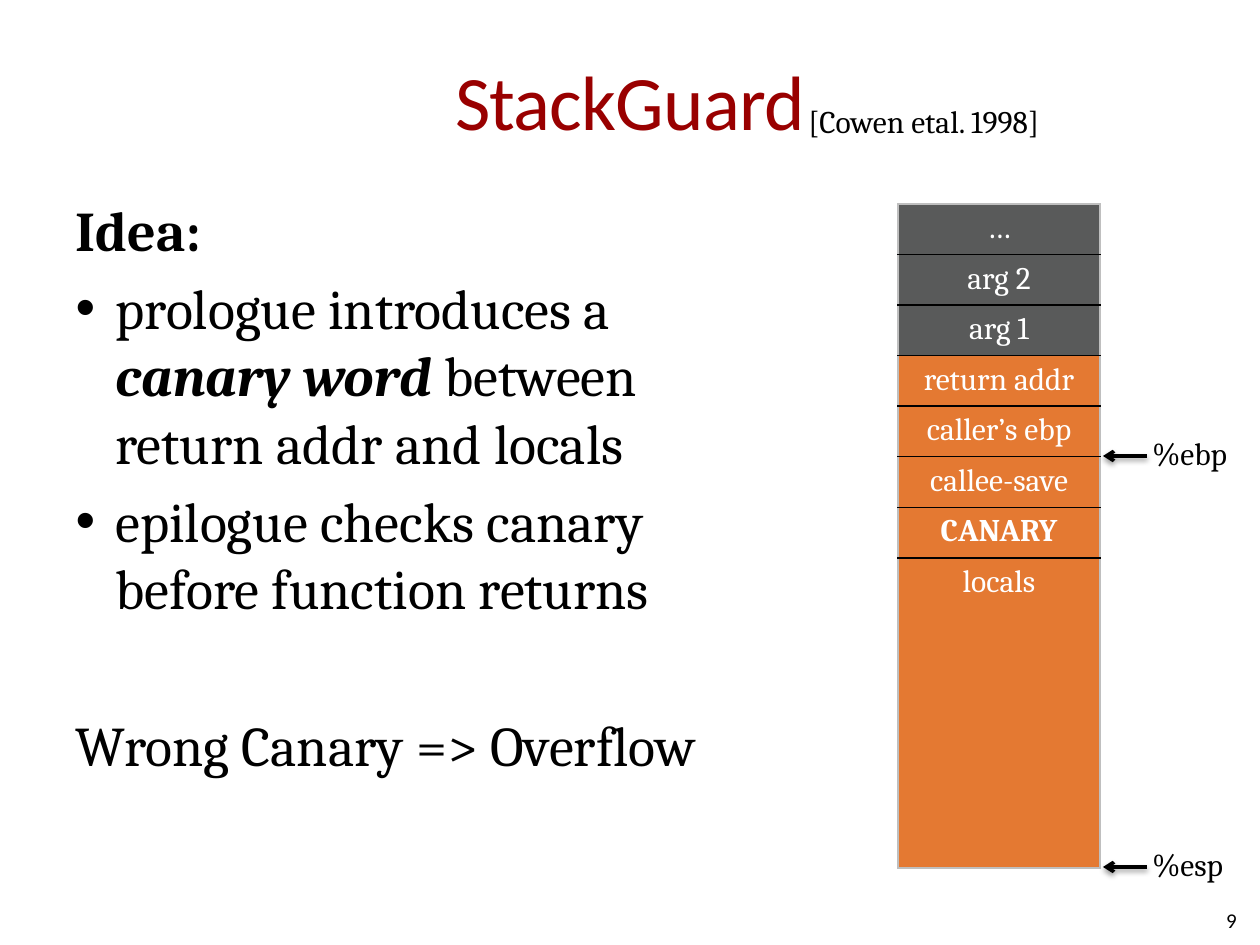
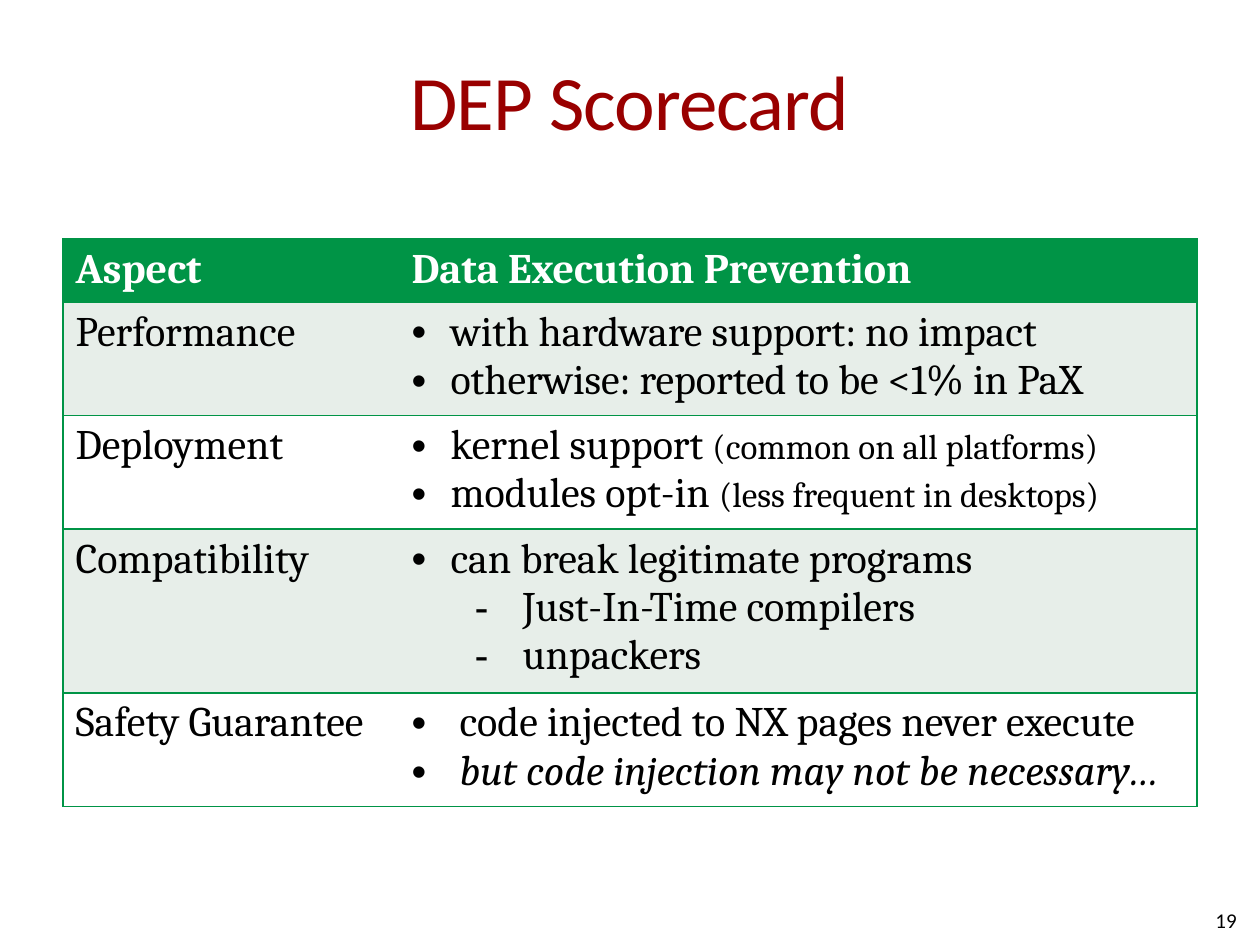
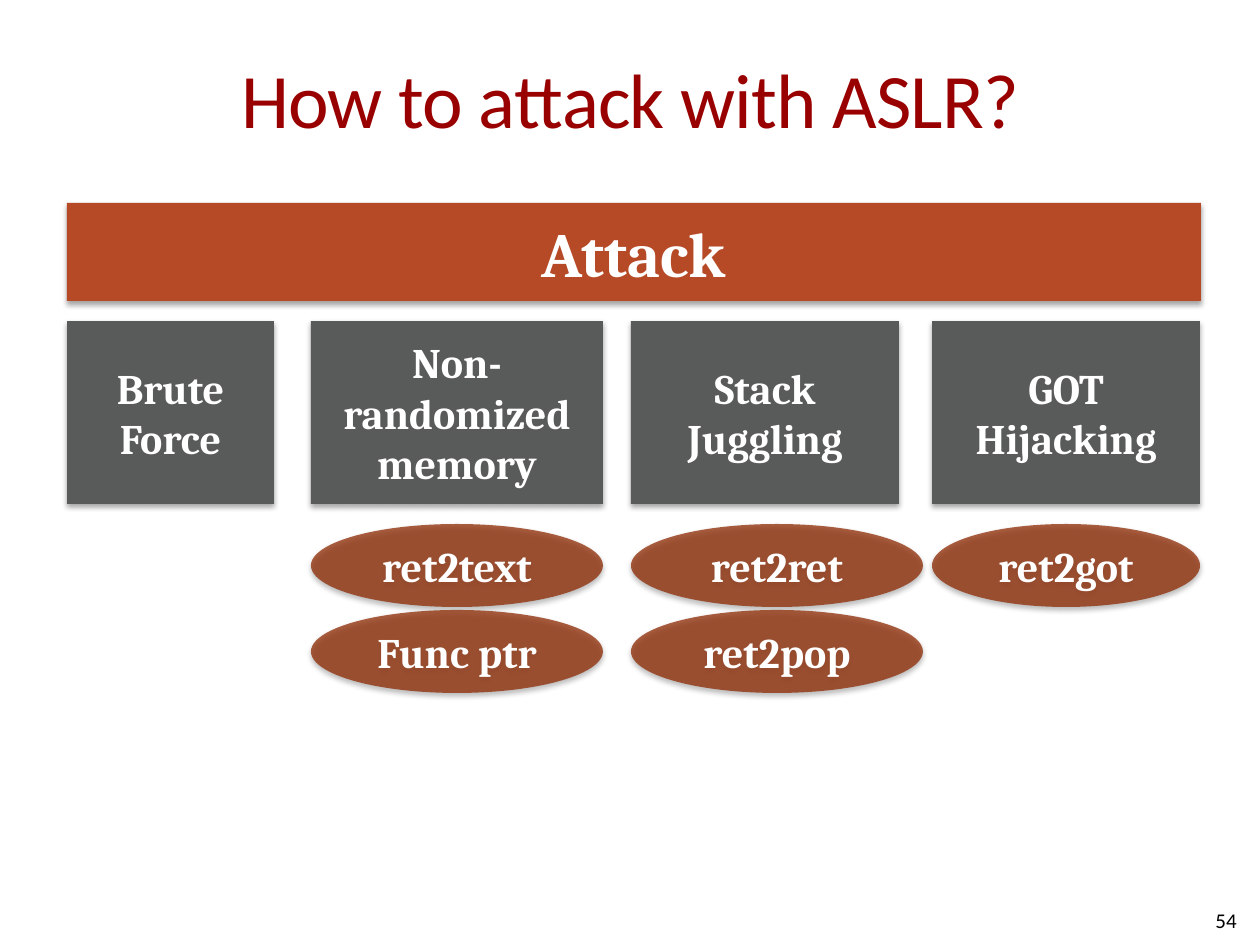
"""Build three slides on memory protection: StackGuard, DEP and ASLR."""
from lxml.etree import SubElement
from pptx import Presentation
from pptx.dml.color import RGBColor
from pptx.enum.shapes import MSO_CONNECTOR, MSO_SHAPE
from pptx.enum.text import MSO_ANCHOR, MSO_AUTO_SIZE, PP_ALIGN
from pptx.oxml.ns import qn
from pptx.util import Emu, Pt

BLACK, WHITE, RED, GREEN = "000000", "FFFFFF", "990000", "009446"
GRAY, ORANGE, RUST, BROWN = "595A5A", "E47932", "B64926", "8E2800"
PALE, EDGE = "E7EEE9", "BFBFBF"
TITLE_FONT, TEXT_FONT = "Calibri", "Cambria"
NO_TABLE_STYLE = "{2D5ABB26-0587-4C30-8999-92F81FD0307C}"
LEFT, CENTER, RIGHT = PP_ALIGN.LEFT, PP_ALIGN.CENTER, PP_ALIGN.RIGHT

DOT = dict(bullet="•", margin=39, hanging=39)
WIDE_DOT = dict(bullet="•", margin=48, hanging=48)
DASH = dict(bullet="-", margin=111, hanging=48)
BODY_DOT = dict(bullet="•", margin=40, hanging=40, before=6.4)
BOLD, ITALIC, SMALL = dict(bold=True), dict(italic=True), dict(size=Pt(20))

IDEA = [
    ([("Idea:", BOLD)], {}),
    ([("prologue introduces a ", {}), ("canary word", BOLD | ITALIC),
      (" between return addr and locals", {})], BODY_DOT),
    ([("epilogue checks canary before function returns", {})], BODY_DOT),
    ([("Wrong Canary => Overflow", {})], dict(before=51)),
]
STACK = [("…", GRAY), ("arg 2", GRAY), ("arg 1", GRAY), ("return addr", ORANGE),
         ("caller’s ebp", ORANGE), ("callee-save", ORANGE), ("CANARY", ORANGE),
         ("locals", ORANGE)]
POINTERS = [("%ebp", 456), ("%esp", 867)]
SCORECARD = [
    ("Aspect", [([("Data Execution Prevention", {})], {})]),
    ("Performance", [([("with hardware support: no impact", {})], DOT),
                     ([("otherwise: reported to be <1% in PaX", {})], DOT)]),
    ("Deployment", [([("kernel support ", {}), ("(common on all platforms)", SMALL)], DOT),
                    ([("modules opt-in ", {}), ("(less frequent in desktops)", SMALL)], DOT)]),
    ("Compatibility", [([("can break legitimate programs", {})], DOT),
                       ([("Just-In-Time compilers", {})], DASH),
                       ([("unpackers", {})], DASH)]),
    ("Safety Guarantee", [([("code injected to NX pages never execute", {})], WIDE_DOT),
                          ([("but code injection may not be necessary…", ITALIC)], WIDE_DOT)]),
]
ATTACKS = [
    (["Brute Force"], 67, 207, []),
    (["Non-randomized memory"], 311, 292, ["ret2text", "Func ptr"]),
    (["Stack Juggling"], 631, 268, ["ret2ret", "ret2pop"]),
    (["GOT", "Hijacking"], 932, 268, ["ret2got"]),
]
METHOD_WIDTHS = {631: 292}


def px(length):
    return Emu(round(length * 914400 / 126))


def rgb(color):
    return RGBColor.from_string(color)


def add_bullet(paragraph, bullet, margin, hanging):
    properties = paragraph._p.get_or_add_pPr()
    properties.set("marL", str(px(margin)))
    properties.set("indent", str(-px(hanging)))
    if bullet:
        SubElement(properties, qn("a:buFont"), typeface="Arial")
        SubElement(properties, qn("a:buChar"), char=bullet)
    else:
        SubElement(properties, qn("a:buNone"))


def write(frame, paragraphs, size, color=BLACK, font=TEXT_FONT, align=LEFT, bold=False):
    """Fill a text frame with (runs, layout) paragraphs."""
    for index, (runs, layout) in enumerate(paragraphs):
        paragraph = frame.add_paragraph() if index else frame.paragraphs[0]
        paragraph.alignment = align
        paragraph.space_before = Pt(layout.get("before", 0))
        add_bullet(paragraph, layout.get("bullet"), layout.get("margin", 0),
                   layout.get("hanging", 0))
        paragraph.font.size, paragraph.font.name = Pt(size), font
        paragraph.font.bold, paragraph.font.color.rgb = bold, rgb(color)
        for text, style in runs:
            run = paragraph.add_run()
            run.text = text
            for name, value in style.items():
                setattr(run.font, name, value)


def plain(*lines):
    return [([(line, {})], {}) for line in lines]


def place(shape, left, top, width, height):
    shape.left, shape.top, shape.width, shape.height = map(px, (left, top, width, height))


def add_label(slide, text, box, size, **style):
    label = slide.shapes.add_textbox(*map(px, box))
    write(label.text_frame, plain(text), size, **style)
    return label.text_frame


def add_slide(presentation, layout, title, number, title_top=21, title_height=158):
    slide = presentation.slides.add_slide(presentation.slide_layouts[layout])
    shape = slide.shapes.title
    place(shape, 63, title_top, 1134, title_height)
    frame = shape.text_frame
    frame.auto_size, frame.vertical_anchor = MSO_AUTO_SIZE.NONE, MSO_ANCHOR.MIDDLE
    frame.margin_left = frame.margin_right = 0
    write(frame, plain(title), 44, RED, TITLE_FONT, CENTER)
    frame.paragraphs[0].runs[0]._r.get_or_add_rPr().set("spc", "-50")
    footer = add_label(slide, number, (955, 895, 294, 50), 12, font=TITLE_FONT, align=RIGHT)
    footer.word_wrap, footer.vertical_anchor = True, MSO_ANCHOR.MIDDLE
    return slide


def add_shadow(effects, opacity):
    shadow = SubElement(effects, qn("a:outerShdw"), blurRad=str(Pt(3.1)),
                        dist=str(Pt(1.7)), dir="5400000", rotWithShape="0")
    color = SubElement(shadow, qn("a:srgbClr"), val=BLACK)
    SubElement(color, qn("a:alpha"), val=str(opacity * 1000))


def add_block(slide, preset, box, lines, fill, size, opacity=100):
    shape = slide.shapes.add_shape(preset, *map(px, box))
    shape.fill.solid()
    shape.fill.fore_color.rgb = rgb(fill)
    if opacity < 100:
        color = shape._element.spPr.find(qn("a:solidFill")).find(qn("a:srgbClr"))
        SubElement(color, qn("a:alpha"), val=str(opacity * 1000))
    shape.line.fill.background()
    shape.shadow.inherit = False
    add_shadow(shape._element.spPr.find(qn("a:effectLst")), 35)
    shape.text_frame.word_wrap = True
    shape.text_frame.vertical_anchor = MSO_ANCHOR.MIDDLE
    write(shape.text_frame, plain(*lines), size, WHITE, align=CENTER, bold=True)


def add_arrow(slide, start, end, y):
    arrow = slide.shapes.add_connector(MSO_CONNECTOR.STRAIGHT, px(start), px(y), px(end), px(y))
    arrow.line.color.rgb, arrow.line.width = rgb(BLACK), Pt(2)
    properties = arrow._element.spPr
    SubElement(properties.find(qn("a:ln")), qn("a:tailEnd"), type="arrow")
    add_shadow(SubElement(properties, qn("a:effectLst")), 38)


def add_grid(slide, rows, columns, box):
    frame = slide.shapes.add_table(rows, columns, *map(px, box))
    frame._element.find(".//" + qn("a:tableStyleId")).text = NO_TABLE_STYLE
    return frame.table


def format_cell(cell, fill, borders):
    """Fill a cell and draw its borders, given as a dict of side to colour."""
    cell.fill.solid()
    cell.fill.fore_color.rgb = rgb(fill)
    properties = cell._tc.get_or_add_tcPr()
    sides = [side for side in "LRTB" if side in borders]
    for index, side in enumerate(sides):
        line = SubElement(properties, qn("a:ln" + side), w=str(Pt(1)))
        SubElement(SubElement(line, qn("a:solidFill")), qn("a:srgbClr"), val=borders[side])
        properties.insert(index, line)


def build_stackguard(presentation):
    slide = add_slide(presentation, 1, "StackGuard", "9")
    body = slide.placeholders[1]
    place(body, 63, 189, 733, 655)
    body.text_frame.auto_size = MSO_AUTO_SIZE.NONE
    write(body.text_frame, IDEA, 32)
    add_label(slide, "[Cowen etal. 1998]", (796, 96, 282, 50), 18).word_wrap = False

    last = len(STACK) - 1
    table = add_grid(slide, len(STACK), 1, (898, 204, 202, 664))
    for index, (text, fill) in enumerate(STACK):
        table.rows[index].height = px(310) if index == last else px(354) // last
        cell = table.cell(index, 0)
        write(cell.text_frame, plain(text), 18, WHITE, align=CENTER, bold=text == "CANARY")
        format_cell(cell, fill, dict(L=EDGE, R=EDGE, T=BLACK if index else EDGE,
                                     B=EDGE if index == last else BLACK))
    for text, y in POINTERS:
        add_label(slide, text, (1140, y - 28, 104, 50), 18).word_wrap = False
        add_arrow(slide, 1147, 1103, y)


def build_scorecard(presentation):
    slide = add_slide(presentation, 5, "DEP Scorecard", "19")
    table = add_grid(slide, len(SCORECARD), 2, (63, 239, 1134, 547))
    table.columns[0].width, table.columns[1].width = px(336), px(798)
    for index, (aspect, findings) in enumerate(SCORECARD):
        header = index == 0
        table.rows[index].height = px(13 + 48 * len(findings))
        fill = GREEN if header else PALE if index % 2 else WHITE
        for column, (content, side) in enumerate([(plain(aspect), "L"), (findings, "R")]):
            cell = table.cell(index, column)
            write(cell.text_frame, content, 24, WHITE if header else BLACK, bold=header)
            format_cell(cell, fill, {side: GREEN, "T": GREEN, "B": GREEN})


def build_attacks(presentation):
    slide = add_slide(presentation, 5, "How to attack with ASLR?", "54", 37, 121)
    add_block(slide, MSO_SHAPE.RECTANGLE, (67, 203, 1134, 98), ["Attack"], RUST, 36)
    for lines, left, width, methods in ATTACKS:
        add_block(slide, MSO_SHAPE.RECTANGLE, (left, 321, width, 183), lines, GRAY, 24)
        for row, method in enumerate(methods):
            box = (left, 524 + 86 * row, METHOD_WIDTHS.get(left, width), 83)
            add_block(slide, MSO_SHAPE.OVAL, box, [method], BROWN, 24, opacity=74)


def main():
    presentation = Presentation()
    presentation.slide_width, presentation.slide_height = px(1260), px(945)
    build_stackguard(presentation)
    build_scorecard(presentation)
    build_attacks(presentation)
    presentation.save("out.pptx")


if __name__ == "__main__":
    main()
